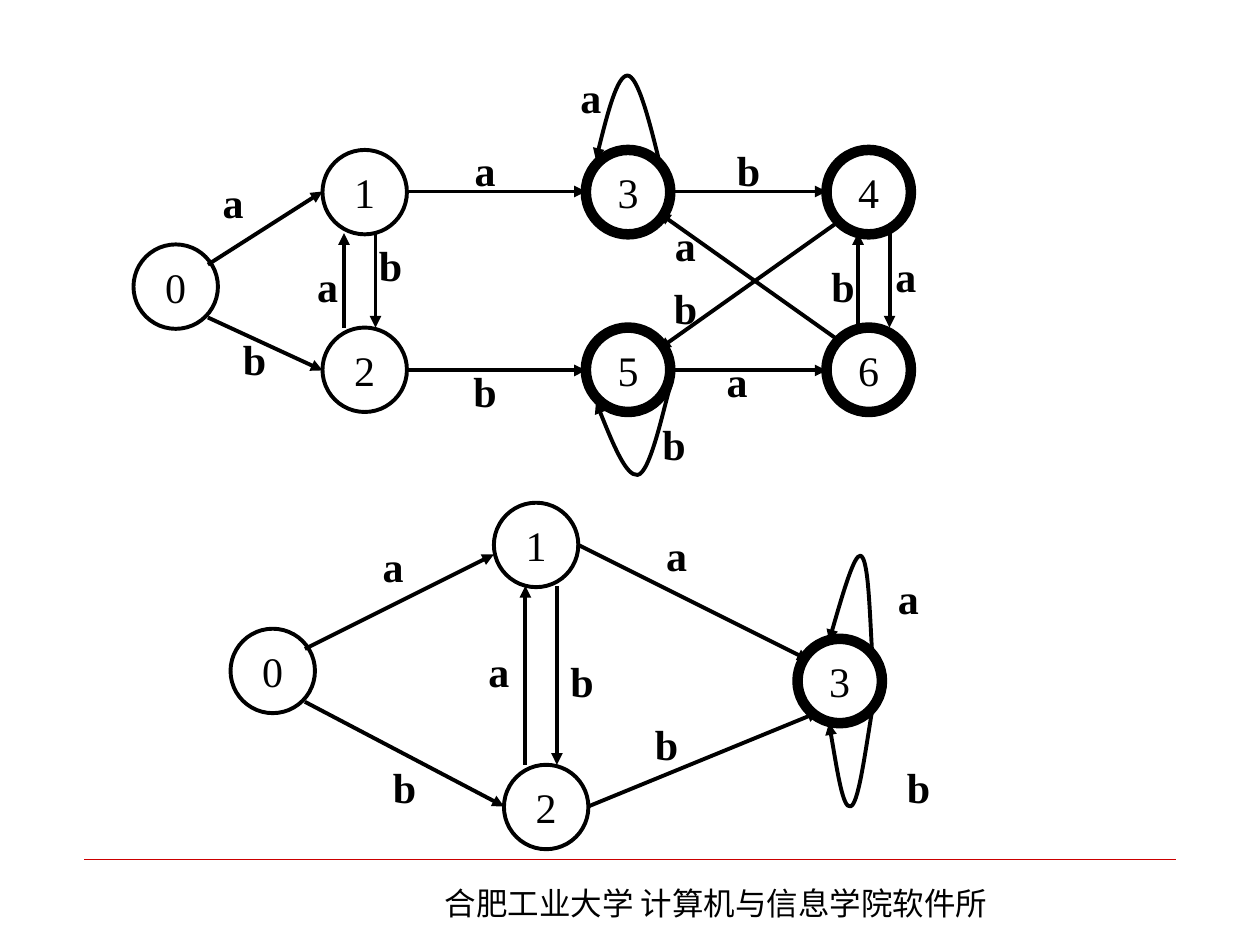
from typing import NamedTuple

from lxml import etree
from pptx import Presentation
from pptx.dml.color import RGBColor
from pptx.enum.shapes import MSO_CONNECTOR, MSO_SHAPE
from pptx.enum.text import MSO_ANCHOR, PP_ALIGN
from pptx.oxml.ns import qn
from pptx.shapes.base import BaseShape
from pptx.shapes.group import GroupShape
from pptx.slide import Slide
from pptx.text.text import TextFrame
from pptx.util import Inches, Pt

OVAL = MSO_SHAPE.OVAL
STRAIGHT = MSO_CONNECTOR.STRAIGHT
MIDDLE = MSO_ANCHOR.MIDDLE
CENTER = PP_ALIGN.CENTER

BLACK = "000000"
RED = "CC0000"
LATIN_FONT = "Times New Roman"
CHINESE_FONT = "Noto Sans CJK SC"
STATE_SIZE = 0.67
LABEL_WIDTH, LABEL_HEIGHT = 0.58, 0.5
THIN, THICK = 2.25, 6

Point = tuple[float, float]


class State(NamedTuple):
    name: str
    left: float
    top: float
    accepting: bool = False


class Transition(NamedTuple):
    start: Point
    end: Point


class Label(NamedTuple):
    text: str
    left: float
    top: float


class Loop(NamedTuple):
    start: Point
    controls: list[Point]


class Automaton(NamedTuple):
    states: list[State]
    transitions: list[Transition]
    labels: list[Label]
    loops: list[Loop]


LEFT, MID, RIGHT = 2.56, 4.65, 6.56
UPPER, LOWER = 1.19, 2.6
UPPER_AXIS, LOWER_AXIS = 1.52, 2.94

FULL = Automaton(
    states=[
        State("0", 1.06, 1.94),
        State("1", LEFT, UPPER),
        State("2", LEFT, LOWER),
        State("3", MID, UPPER, True),
        State("5", MID, LOWER, True),
        State("4", RIGHT, UPPER, True),
        State("6", RIGHT, LOWER, True),
    ],
    transitions=[
        Transition((1.65, 2.1), (LEFT, UPPER_AXIS)),
        Transition((1.65, 2.52), (LEFT, LOWER_AXIS)),
        *(
            Transition((start, axis), (end, axis))
            for axis in (UPPER_AXIS, LOWER_AXIS)
            for start, end in ((3.23, MID), (5.31, RIGHT))
        ),
        Transition((2.98, 1.85), (2.98, LOWER)),
        Transition((2.73, LOWER), (2.73, 1.85)),
        Transition((6.81, LOWER), (6.81, 1.85)),
        Transition((7.06, 1.85), (7.06, LOWER)),
        Transition((6.64, 1.77), (5.23, 2.77)),
        Transition((6.64, 2.69), (5.23, 1.69)),
    ],
    labels=[
        Label("a", 1.56, 1.35),
        Label("a", 3.56, 1.1),
        Label("b", 5.65, 1.1),
        Label("b", 1.73, 2.6),
        Label("b", 3.56, 2.85),
        Label("a", 5.56, 2.77),
        Label("b", 2.81, 1.85),
        Label("a", 2.31, 2.02),
        Label("a", 6.9, 1.94),
        Label("b", 6.4, 2.02),
        Label("a", 5.15, 1.69),
        Label("b", 5.15, 2.19),
        Label("a", 4.4, 0.52),
        Label("b", 5.06, 3.27),
    ],
    loops=[
        Loop((5.23, 1.27), [(5.15, 0.94), (5.06, 0.6), (4.98, 0.6),
                            (4.9, 0.6), (4.81, 0.94), (4.73, 1.27)]),
        Loop((5.31, 3.02), [(5.33, 3), (5.35, 2.98), (5.31, 3.1),
                            (5.27, 3.23), (5.16, 3.76), (5.06, 3.77),
                            (4.97, 3.78), (4.85, 3.49), (4.73, 3.19)]),
    ],
)

MINIMAL = Automaton(
    states=[
        State("0", 1.83, 4.99),
        State("1", 3.92, 3.99),
        State("2", 4, 6.07),
        State("3", 6.33, 5.07, True),
    ],
    transitions=[
        Transition((2.42, 5.15), (3.92, 4.4)),
        Transition((4.58, 4.32), (6.42, 5.24)),
        Transition((2.42, 5.57), (4, 6.4)),
        Transition((4.42, 4.65), (4.42, 6.07)),
        Transition((4.17, 6.07), (4.17, 4.65)),
        Transition((4.67, 6.4), (6.5, 5.65)),
    ],
    labels=[
        Label("a", 2.83, 4.24),
        Label("a", 6.92, 4.49),
        Label("b", 2.92, 5.99),
        Label("b", 7, 5.99),
        Label("b", 4.33, 5.15),
        Label("a", 3.67, 5.07),
        Label("a", 5.08, 4.15),
        Label("b", 5, 5.65),
    ],
    loops=[
        Loop((6.92, 5.15), [(6.9, 4.79), (6.89, 4.43), (6.83, 4.41),
                            (6.78, 4.4), (6.68, 4.74), (6.58, 5.09)]),
        Loop((6.92, 5.65), [(6.86, 6.02), (6.81, 6.39), (6.75, 6.4),
                            (6.69, 6.42), (6.64, 6.08), (6.58, 5.74)]),
    ],
)


def color(value: str) -> RGBColor:
    return RGBColor.from_string(value)


def set_line(shape: BaseShape, value: str, width: float) -> None:
    shape.line.color.rgb = color(value)
    shape.line.width = Pt(width)


def add_arrowhead(shape: BaseShape) -> None:
    outline = shape.element.spPr.find(qn("a:ln"))
    etree.SubElement(outline, qn("a:tailEnd"), type="triangle")


def write_centered(frame: TextFrame, text: str, bold: bool) -> None:
    frame.word_wrap = False
    frame.vertical_anchor = MIDDLE
    para = frame.paragraphs[0]
    para.alignment = CENTER
    span = para.add_run()
    span.text = text
    span.font.name = LATIN_FONT
    span.font.size = Pt(24)
    span.font.bold = bold
    span.font.color.rgb = color(BLACK)


def draw_state(group: GroupShape, state: State) -> None:
    circle = group.shapes.add_shape(
        OVAL, Inches(state.left), Inches(state.top), Inches(STATE_SIZE), Inches(STATE_SIZE)
    )
    circle.shadow.inherit = False
    circle.fill.background()
    set_line(circle, BLACK, THICK if state.accepting else THIN)
    write_centered(circle.text_frame, state.name, False)


def draw_line(
    parent: Slide | GroupShape, start: Point, end: Point, value: str, width: float
) -> BaseShape:
    line = parent.shapes.add_connector(STRAIGHT, *map(Inches, start + end))
    set_line(line, value, width)
    etree.SubElement(line.element.spPr, qn("a:effectLst"))
    return line


def draw_label(group: GroupShape, label: Label) -> None:
    box = group.shapes.add_textbox(
        Inches(label.left), Inches(label.top), Inches(LABEL_WIDTH), Inches(LABEL_HEIGHT)
    )
    write_centered(box.text_frame, label.text, True)


def draw_loop(group: GroupShape, loop: Loop) -> None:
    builder = group.shapes.build_freeform(*map(Inches, loop.start))
    builder.add_line_segments([tuple(map(Inches, point)) for point in loop.controls], close=False)
    curve = builder.convert_to_shape()
    segments = list(curve.element.iter(qn("a:lnTo")))
    for index in range(0, len(segments), 3):
        bezier = etree.Element(qn("a:cubicBezTo"))
        segments[index].addprevious(bezier)
        for segment in segments[index:index + 3]:
            bezier.append(segment[0])
            segment.getparent().remove(segment)
    curve.shadow.inherit = False
    curve.fill.background()
    set_line(curve, BLACK, THIN)
    add_arrowhead(curve)


def draw_automaton(page: Slide, automaton: Automaton) -> None:
    group = page.shapes.add_group_shape()
    for state in automaton.states:
        draw_state(group, state)
    for transition in automaton.transitions:
        add_arrowhead(draw_line(group, transition.start, transition.end, BLACK, THIN))
    for label in automaton.labels:
        draw_label(group, label)
    for loop in automaton.loops:
        draw_loop(group, loop)


def draw_footer(page: Slide) -> None:
    draw_line(page, (0.67, 6.82), (9.33, 6.82), RED, 0.25)
    box = page.shapes.add_textbox(Inches(3.43), Inches(6.97), Inches(4.72), Inches(0.4))
    box.text_frame.word_wrap = True
    para = box.text_frame.paragraphs[0]
    para.space_before = Pt(11.2)
    span = para.add_run()
    span.text = "合肥工业大学 计算机与信息学院软件所"
    span.font.name = CHINESE_FONT
    span.font.size = Pt(18)
    span.font.color.rgb = color(BLACK)
    etree.SubElement(span.font._element, qn("a:ea"), typeface=CHINESE_FONT)


def main() -> None:
    deck = Presentation()
    deck.slide_width, deck.slide_height = Inches(10), Inches(7.5)
    page = deck.slides.add_slide(deck.slide_layouts[6])
    draw_footer(page)
    for automaton in (FULL, MINIMAL):
        draw_automaton(page, automaton)
    deck.save("out.pptx")


if __name__ == "__main__":
    main()
